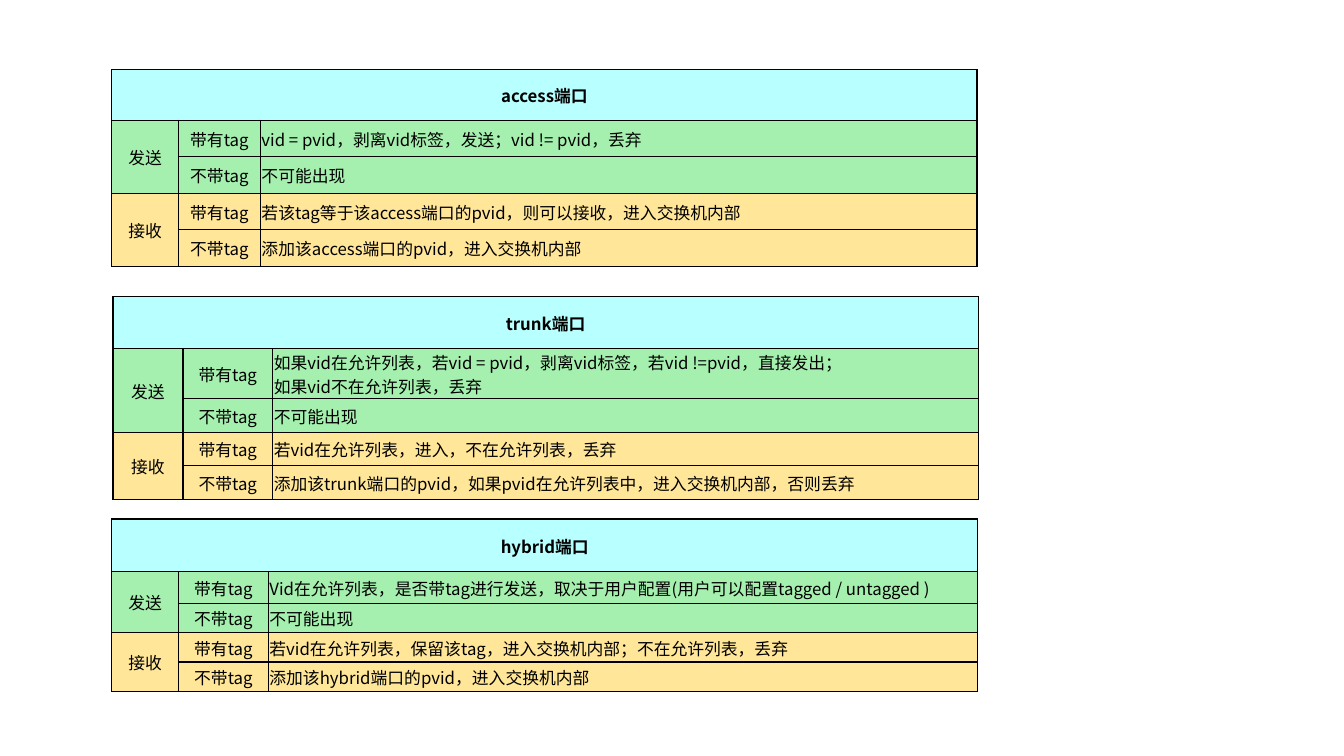
from dataclasses import dataclass

from lxml import etree
from pptx import Presentation
from pptx.dml.color import RGBColor
from pptx.enum.text import MSO_ANCHOR, PP_ALIGN
from pptx.oxml.ns import qn
from pptx.util import Cm, Pt

CENTER, LEFT = PP_ALIGN.CENTER, PP_ALIGN.LEFT
MIDDLE = MSO_ANCHOR.MIDDLE
FONT_NAME = "Noto Sans CJK SC"
BLACK = RGBColor(0x00, 0x00, 0x00)
HEADER_CYAN = RGBColor(0xB8, 0xFF, 0xFF)
SEND_GREEN = RGBColor(0xA5, 0xF0, 0xAE)
RECEIVE_YELLOW = RGBColor(0xFF, 0xE6, 0x99)
ROW_FILLS = [HEADER_CYAN, SEND_GREEN, SEND_GREEN, RECEIVE_YELLOW, RECEIVE_YELLOW]
DIRECTIONS = {1: "发送", 3: "接收"}
TAG_STATES = ["带有tag", "不带tag"]
BORDER_TAGS = ["a:lnL", "a:lnR", "a:lnT", "a:lnB"]


@dataclass
class PortTable:
    """One port type; lengths in centimetres, one list of lines per rule."""
    title: str
    left: float
    top: float
    column_widths: list[float]
    row_heights: list[float]
    rules: list[list[str]]


PORT_TABLES = [
    PortTable(
        "access端口", 2.82, 1.76, [1.68, 2.06, 18.06], [1.27] + [0.92] * 4,
        [["vid = pvid，剥离vid标签，发送；vid != pvid，丢弃"],
         ["不可能出现"],
         ["若该tag等于该access端口的pvid，则可以接收，进入交换机内部"],
         ["添加该access端口的pvid，进入交换机内部"]]),
    PortTable(
        "trunk端口", 2.85, 7.47, [1.76, 2.26, 17.78], [1.31] + [0.85] * 4,
        [["如果vid在允许列表，若vid = pvid，剥离vid标签，若vid !=pvid，直接发出；",
          "如果vid不在允许列表，丢弃"],
         ["不可能出现"],
         ["若vid在允许列表，进入，不在允许列表，丢弃"],
         ["添加该trunk端口的pvid，如果pvid在允许列表中，进入交换机内部，否则丢弃"]]),
    PortTable(
        "hybrid端口", 2.82, 13.08, [1.68, 2.26, 17.88], [1.32, 0.8] + [0.74] * 3,
        [["Vid在允许列表，是否带tag进行发送，取决于用户配置(用户可以配置tagged / untagged )"],
         ["不可能出现"],
         ["若vid在允许列表，保留该tag，进入交换机内部；不在允许列表，丢弃"],
         ["添加该hybrid端口的pvid，进入交换机内部"]]),
]


def add_borders(cell) -> None:
    # Border elements come before the fill in the cell properties
    properties = cell._tc.get_or_add_tcPr()
    for index, tag in enumerate(BORDER_TAGS):
        line = etree.Element(qn(tag), w=str(Pt(1)))
        fill = etree.SubElement(line, qn("a:solidFill"))
        etree.SubElement(fill, qn("a:srgbClr"), val=str(BLACK))
        properties.insert(index, line)


def style_cell(cell, color: RGBColor) -> None:
    cell.fill.solid()
    cell.fill.fore_color.rgb = color
    cell.vertical_anchor = MIDDLE
    cell.margin_left = cell.margin_right = cell.margin_top = Cm(0.03)
    cell.margin_bottom = Cm(0)
    add_borders(cell)


def write_cell(cell, lines: list[str], alignment=CENTER, bold: bool = False) -> None:
    text_frame = cell.text_frame
    for index, text in enumerate(lines):
        paragraph = text_frame.add_paragraph() if index else text_frame.paragraphs[0]
        paragraph.alignment = alignment
        run = paragraph.add_run()
        run.text = text
        run.font.size = Pt(12)
        run.font.bold = bold
        run.font.color.rgb = BLACK
        run.font.name = FONT_NAME
        etree.SubElement(run.font._element, qn("a:ea"), typeface=FONT_NAME)


def add_port_table(slide, port: PortTable) -> None:
    shape = slide.shapes.add_table(
        len(port.row_heights), len(port.column_widths),
        Cm(port.left), Cm(port.top),
        Cm(sum(port.column_widths)), Cm(sum(port.row_heights)))
    table = shape.table
    table.first_row = table.horz_banding = False

    # Grid
    for column, width in zip(table.columns, port.column_widths):
        column.width = Cm(width)
    for row, height, color in zip(table.rows, port.row_heights, ROW_FILLS):
        row.height = Cm(height)
        for cell in row.cells:
            style_cell(cell, color)

    # Title row
    table.cell(0, 0).merge(table.cell(0, 2))
    write_cell(table.cell(0, 0), [port.title], bold=True)

    # Send and receive groups
    for row_index, direction in DIRECTIONS.items():
        table.cell(row_index, 0).merge(table.cell(row_index + 1, 0))
        write_cell(table.cell(row_index, 0), [direction])

    # Rules for tagged and untagged frames
    for index, lines in enumerate(port.rules):
        write_cell(table.cell(index + 1, 1), [TAG_STATES[index % 2]])
        write_cell(table.cell(index + 1, 2), lines, LEFT)


def main() -> None:
    presentation = Presentation()
    presentation.slide_width = Cm(33.87)
    presentation.slide_height = Cm(19.05)
    slide = presentation.slides.add_slide(presentation.slide_layouts[6])
    for port in PORT_TABLES:
        add_port_table(slide, port)
    presentation.save("out.pptx")


if __name__ == "__main__":
    main()
